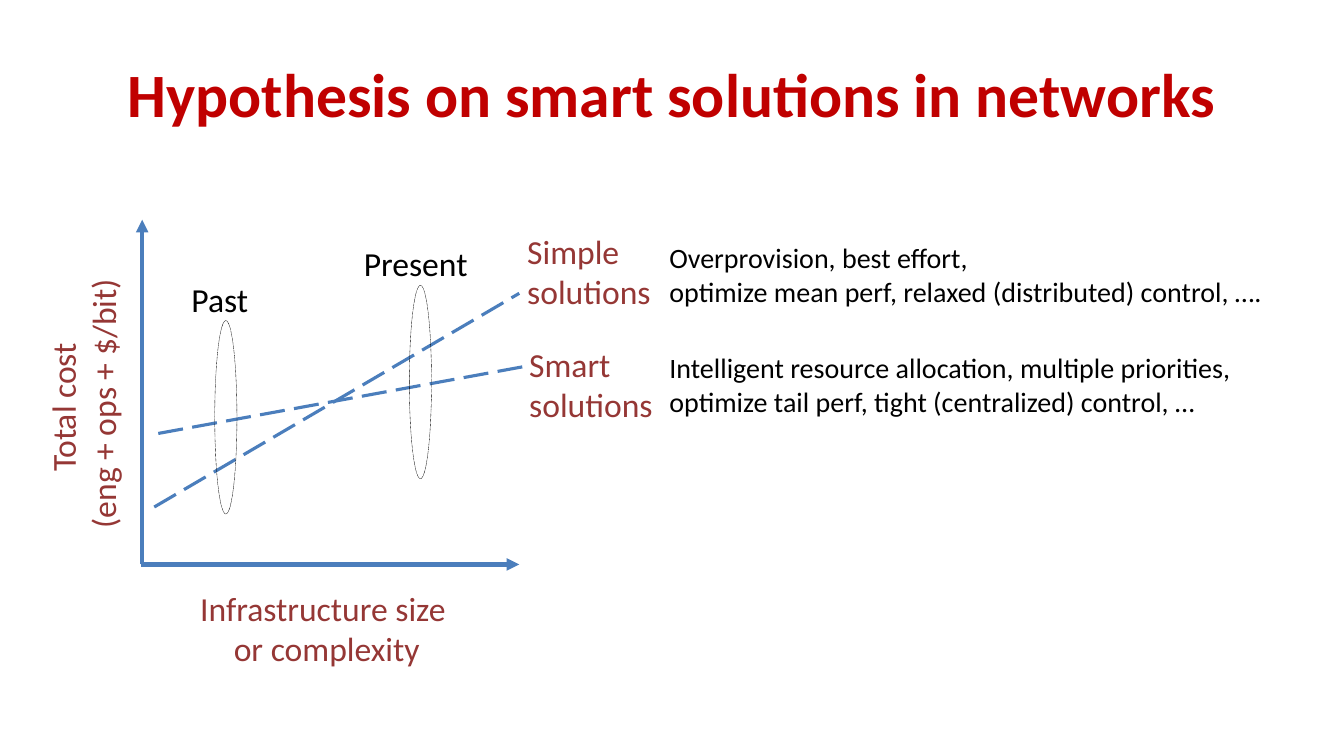
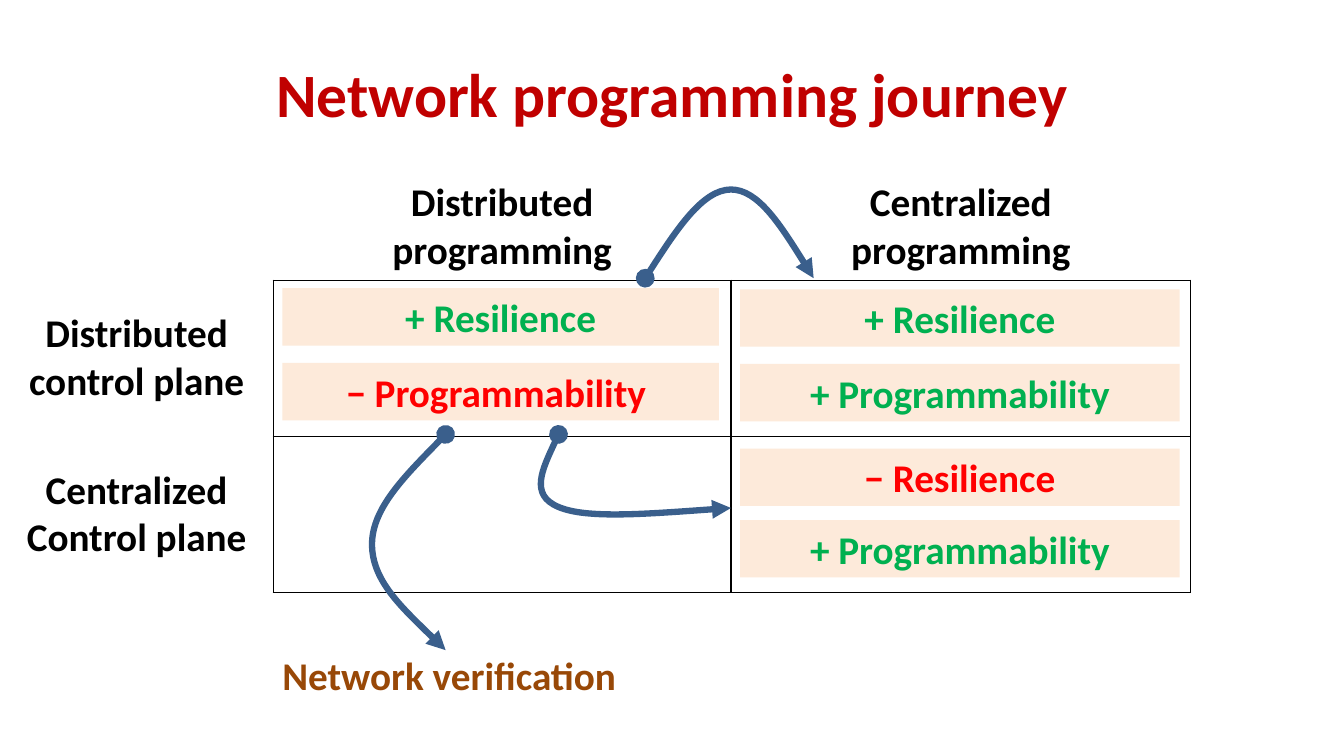
from lxml import etree
from pptx import Presentation
from pptx.dml.color import RGBColor
from pptx.enum.dml import MSO_LINE
from pptx.enum.shapes import MSO_CONNECTOR, MSO_SHAPE
from pptx.enum.text import MSO_ANCHOR, MSO_AUTO_SIZE, PP_ALIGN
from pptx.oxml.ns import qn
from pptx.util import Inches, Pt

CENTER, LEFT = PP_ALIGN.CENTER, PP_ALIGN.LEFT
TOP, MIDDLE = MSO_ANCHOR.TOP, MSO_ANCHOR.MIDDLE
LONG_DASH, DOTTED = MSO_LINE.LONG_DASH, MSO_LINE.ROUND_DOT
STRAIGHT = MSO_CONNECTOR.STRAIGHT
OVAL, RECTANGLE = MSO_SHAPE.OVAL, MSO_SHAPE.RECTANGLE

BLACK = RGBColor(0x00, 0x00, 0x00)
TITLE_RED = RGBColor(0xC0, 0x00, 0x00)
LABEL_RED = RGBColor(0x95, 0x37, 0x35)
PLOT_BLUE = RGBColor(0x4B, 0x7E, 0xBC)
ARROW_BLUE = RGBColor(0x3A, 0x5F, 0x8C)
CARD_PEACH = RGBColor(0xFD, 0xEA, 0xDA)
GAIN_GREEN = RGBColor(0x00, 0xB0, 0x50)
LOSS_RED = RGBColor(0xFF, 0x00, 0x00)
OUTCOME_BROWN = RGBColor(0x98, 0x48, 0x07)
FONT = "Calibri"
NO_GRID_STYLE = "{2D5ABB26-0587-4C30-8999-92F81FD0307C}"

TITLE_FORMAT = {"size": Pt(44), "bold": True, "color": TITLE_RED}
LABEL_FORMAT = {"size": Pt(24), "color": LABEL_RED}
PERIOD_FORMAT = {"size": Pt(24), "color": BLACK}
DETAIL_FORMAT = {"size": Pt(20), "color": BLACK}
HEADING_FORMAT = {"size": Pt(28), "bold": True, "color": BLACK}

# Slide 1: start, end, line format
PLOT_LINES = [
    ((1.41, 5.6), (1.41, 2.18), {"width": 3, "tail": "triangle"}),
    ((1.4, 5.6), (5.15, 5.6), {"width": 3, "tail": "triangle"}),
    ((1.53, 5.03), (5.15, 2.91), {"width": 2.25, "dash": LONG_DASH}),
    ((1.57, 4.3), (5.18, 3.64), {"width": 2.25, "dash": LONG_DASH}),
]
# text, box, alignment, format, rotation
PLOT_TEXTS = [
    ("Infrastructure size \vor complexity", (1.73, 5.78, 3.02, 0.91), CENTER, LABEL_FORMAT, 0),
    ("Total cost \n(eng + ops + $/bit)", (-1.63, 3.55, 4.91, 0.91), CENTER, LABEL_FORMAT, 270),
    ("Simple solutions", (5.13, 2.24, 1.95, 0.91), LEFT, LABEL_FORMAT, 0),
    ("Smart solutions", (5.15, 3.36, 1.95, 0.91), LEFT, LABEL_FORMAT, 0),
    ("Overprovision, best effort, \voptimize mean perf, relaxed (distributed) control, ….",
     (6.54, 2.34, 6.12, 0.77), LEFT, DETAIL_FORMAT, 0),
    ("Intelligent resource allocation, multiple priorities, "
     "optimize tail perf, tight (centralized) control, …",
     (6.54, 3.43, 6.79, 0.77), LEFT, DETAIL_FORMAT, 0),
    ("Past", (1.8, 2.72, 0.87, 0.5), LEFT, PERIOD_FORMAT, 0),
    ("Present", (3.51, 2.36, 1.3, 0.5), LEFT, PERIOD_FORMAT, 0),
]
PERIOD_RINGS = [(2.13, 3.18), (4.06, 2.83)]
RING_SIZE = (0.22, 1.92)

# Slide 2
JOURNEY_ROWS = [
    ("", "Distributed\vprogramming", "Centralized\nprogramming"),
    ("Distributed control plane", "", ""),
    ("Centralized\nControl plane", "", ""),
]
COLUMN_WIDTHS = (2.71, 4.54, 4.56)
ROW_HEIGHTS = (1.04, 1.55, 1.55)
TABLE_LEFT, TABLE_TOP = 0, 1.73
CARD_HEIGHT = 0.57
# left, width, then (top, text, colour) for each card
CARD_COLUMNS = [
    (2.8, 4.33, [(2.86, "+ Resilience", GAIN_GREEN),
                 (3.6, "− Programmability ", LOSS_RED)]),
    (7.34, 4.36, [(2.87, "+ Resilience", GAIN_GREEN),
                  (3.61, "+ Programmability", GAIN_GREEN),
                  (4.45, "− Resilience", LOSS_RED),
                  (5.16, "+ Programmability", GAIN_GREEN)]),
]
# start point, then three points for each Bézier segment
JOURNEY_ARROWS = [
    [(5.54, 4.31), (5.4, 4.61), (5.25, 4.91), (5.54, 5.03),
     (5.82, 5.15), (6.53, 5.09), (7.25, 5.04)],
    [(6.4, 2.76), (6.68, 2.32), (6.97, 1.88), (7.25, 1.88),
     (7.52, 1.88), (7.8, 2.32), (8.07, 2.76)],
    [(4.42, 4.31), (4.06, 4.68), (3.69, 5.04), (3.69, 5.4),
     (3.69, 5.76), (4.06, 6.1), (4.42, 6.45)],
]


def inches(values):
    return [Inches(value) for value in values]


def write_text(frame, text, font_format, align=CENTER):
    frame.text = text
    frame.word_wrap = True
    for paragraph in frame.paragraphs:
        paragraph.alignment = align
        for run in paragraph.runs:
            run.font.name = FONT
            for name, value in font_format.items():
                if name == "color":
                    run.font.color.rgb = value
                else:
                    setattr(run.font, name, value)


def add_label(slide, text, box, align, font_format, rotation=0):
    label = slide.shapes.add_textbox(*inches(box))
    label.rotation = rotation
    write_text(label.text_frame, text, font_format, align)


def style_line(shape, color, width, dash=None, head=None, tail=None):
    """Format the outline, add line ends and switch the shadow off."""
    shape.line.color.rgb = color
    shape.line.width = Pt(width)
    if dash:
        shape.line.dash_style = dash
    properties = shape.element.spPr
    outline = properties.find(qn("a:ln"))
    for tag, end in (("a:headEnd", head), ("a:tailEnd", tail)):
        if end:
            etree.SubElement(outline, qn(tag), type=end)
    etree.SubElement(properties, qn("a:effectLst"))


def add_curve(slide, points):
    """Draw an open Bézier arrow that starts with a dot."""
    start, *others = [inches(point) for point in points]
    builder = slide.shapes.build_freeform(*start)
    builder.add_line_segments(others, close=False)
    curve = builder.convert_to_shape()
    outline = next(curve.element.iter(qn("a:path")))
    segments = outline.findall(qn("a:lnTo"))
    for first in range(0, len(segments), 3):
        bezier = etree.SubElement(outline, qn("a:cubicBezTo"))
        for segment in segments[first:first + 3]:
            bezier.append(segment[0])
            outline.remove(segment)
    curve.fill.background()
    style_line(curve, ARROW_BLUE, 4.5, head="oval", tail="triangle")


def add_borders(cell, sides):
    properties = cell._tc.get_or_add_tcPr()
    for position, side in enumerate(sides):
        border = etree.Element(qn(f"a:ln{side}"), w=str(Pt(1)))
        fill = etree.SubElement(border, qn("a:solidFill"))
        etree.SubElement(fill, qn("a:srgbClr"), val=str(BLACK))
        properties.insert(position, border)


def add_journey_table(slide):
    box = (TABLE_LEFT, TABLE_TOP, sum(COLUMN_WIDTHS), sum(ROW_HEIGHTS))
    frame = slide.shapes.add_table(len(ROW_HEIGHTS), len(COLUMN_WIDTHS), *inches(box))
    table = frame.table
    table.first_row = table.horz_banding = False
    next(frame.element.iter(qn("a:tableStyleId"))).text = NO_GRID_STYLE
    for column, width in zip(table.columns, COLUMN_WIDTHS):
        column.width = Inches(width)
    for r, texts in enumerate(JOURNEY_ROWS):
        table.rows[r].height = Inches(ROW_HEIGHTS[r])
        for c, text in enumerate(texts):
            cell = table.cell(r, c)
            cell.fill.background()
            cell.vertical_anchor = MIDDLE if r else TOP
            if text:
                write_text(cell.text_frame, text, HEADING_FORMAT)
            if r and c:
                add_borders(cell, "LRTB")
            elif r or c:
                add_borders(cell, "R" if r else "B")


def add_card(slide, text, box, color):
    card = slide.shapes.add_shape(RECTANGLE, *inches(box))
    card.shadow.inherit = False
    card.fill.solid()
    card.fill.fore_color.rgb = CARD_PEACH
    card.line.fill.background()
    write_text(card.text_frame, text, {**HEADING_FORMAT, "color": color})


def add_titled_slide(deck, text):
    slide = deck.slides.add_slide(deck.slide_layouts[5])
    title = slide.shapes.title
    title.left, title.top, title.width, title.height = inches((0.67, 0.3, 12, 1.25))
    write_text(title.text_frame, text, TITLE_FORMAT)
    title.text_frame.vertical_anchor = MIDDLE
    title.text_frame.auto_size = MSO_AUTO_SIZE.NONE
    return slide


def build_hypothesis(deck):
    slide = add_titled_slide(deck, "Hypothesis on smart solutions in networks")
    for start, end, line_format in PLOT_LINES:
        line = slide.shapes.add_connector(STRAIGHT, *inches(start + end))
        style_line(line, PLOT_BLUE, **line_format)
    for corner in PERIOD_RINGS:
        ring = slide.shapes.add_shape(OVAL, *inches(corner + RING_SIZE))
        ring.fill.background()
        style_line(ring, BLACK, 0.25, DOTTED)
    for label in PLOT_TEXTS:
        add_label(slide, *label)


def build_journey(deck):
    slide = add_titled_slide(deck, "Network programming journey")
    add_journey_table(slide)
    for left, width, cards in CARD_COLUMNS:
        for top, text, color in cards:
            add_card(slide, text, (left, top, width, CARD_HEIGHT), color)
    for points in JOURNEY_ARROWS:
        add_curve(slide, points)
    add_label(slide, "Network verification", (1.76, 6.41, 5.39, 0.57), CENTER,
              {**HEADING_FORMAT, "color": OUTCOME_BROWN})


def main():
    deck = Presentation()
    deck.slide_width, deck.slide_height = inches((13.33, 7.5))
    build_hypothesis(deck)
    build_journey(deck)
    deck.save("out.pptx")


if __name__ == "__main__":
    main()
